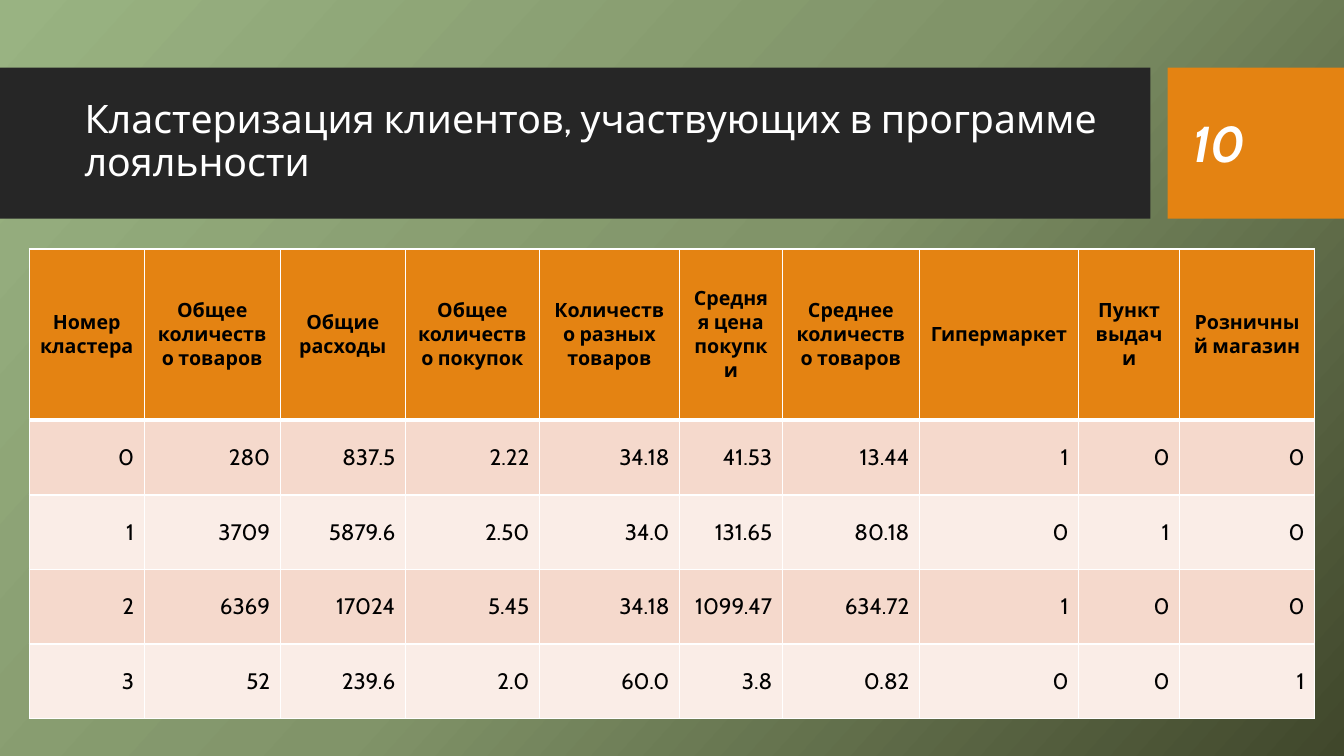
from copy import deepcopy

from lxml import etree
from pptx import Presentation
from pptx.dml.color import RGBColor
from pptx.enum.shapes import MSO_SHAPE
from pptx.enum.text import MSO_ANCHOR, PP_ALIGN
from pptx.oxml.ns import qn
from pptx.util import Inches, Pt

RECTANGLE = MSO_SHAPE.RECTANGLE
MIDDLE = MSO_ANCHOR.MIDDLE
CENTER, RIGHT = PP_ALIGN.CENTER, PP_ALIGN.RIGHT

FONT = "Cabin"
WHITE = RGBColor(0xFF, 0xFF, 0xFF)
BLACK = RGBColor(0x00, 0x00, 0x00)
CHARCOAL = RGBColor(0x26, 0x26, 0x26)
ORANGE = RGBColor(0xE4, 0x83, 0x12)
DARK_BAND = RGBColor(0xF5, 0xD9, 0xCC)
LIGHT_BAND = RGBColor(0xFA, 0xED, 0xE7)
BACKGROUND_STOPS = [
    (0, RGBColor(0x99, 0xB3, 0x82)),
    (0.5, RGBColor(0x81, 0x94, 0x69)),
    (1, RGBColor(0x40, 0x47, 0x2B)),
]

COLUMN_WIDTHS = [1.14, 1.35, 1.24, 1.33, 1.39, 1.02, 1.36, 1.58, 1, 1.34]
HEADER_HEIGHT, ROW_HEIGHT = 1.7, 0.74
CLUSTERS = [
    ["Номер кластера", "Общее количество товаров", "Общие расходы",
     "Общее количество покупок", "Количество разных товаров",
     "Средняя цена покупки", "Среднее количество товаров",
     "Гипермаркет", "Пункт выдачи", "Розничный магазин"],
    ["0", "280", "837.5", "2.22", "34.18", "41.53", "13.44", "1", "0", "0"],
    ["1", "3709", "5879.6", "2.50", "34.0", "131.65", "80.18", "0", "1", "0"],
    ["2", "6369", "17024", "5.45", "34.18", "1099.47", "634.72", "1", "0", "0"],
    ["3", "52", "239.6", "2.0", "60.0", "3.8", "0.82", "0", "0", "1"],
]


def write_text(frame, text, size, color, bold=False, italic=False):
    frame.text = text
    paragraph = frame.paragraphs[0]
    font = paragraph.runs[0].font
    font.name, font.size, font.color.rgb = FONT, Pt(size), color
    font.bold, font.italic = bold, italic
    return paragraph


def add_borders(cell, widths):
    """Draw white cell borders; widths maps each side to its points."""
    properties = cell._tc.get_or_add_tcPr()
    for side, points in widths.items():
        line = etree.SubElement(properties, qn(f"a:ln{side}"), w=str(Pt(points)))
        fill = etree.SubElement(line, qn("a:solidFill"))
        etree.SubElement(fill, qn("a:srgbClr"), val=str(WHITE))


deck = Presentation()
deck.slide_width, deck.slide_height = Inches(13.33), Inches(7.5)
slide = deck.slides.add_slide(deck.slide_layouts[6])

# Background
background = slide.background.fill
background.gradient()
background.gradient_angle = 360 - 42
stop_list = slide.element.find(".//" + qn("a:gsLst"))
stop_list.append(deepcopy(stop_list[0]))
for stop, (position, color) in zip(background.gradient_stops, BACKGROUND_STOPS):
    stop.position = position
    stop.color.rgb = color

# Title band and page number block
for left, width, color in [(0, 11.41, CHARCOAL), (11.58, 1.75, ORANGE)]:
    band = slide.shapes.add_shape(
        RECTANGLE, Inches(left), Inches(0.67), Inches(width), Inches(1.5))
    band.shadow.inherit = False
    band.fill.solid()
    band.fill.fore_color.rgb = color
    band.line.fill.background()

title_box = slide.shapes.add_textbox(
    Inches(0.74), Inches(0.82), Inches(10.51), Inches(1.18))
number_box = slide.shapes.add_textbox(
    Inches(11.73), Inches(0.82), Inches(1.26), Inches(1.19))
for box in (title_box, number_box):
    box.text_frame.word_wrap = True
    box.text_frame.vertical_anchor = MIDDLE

title = write_text(
    title_box.text_frame,
    "Кластеризация клиентов, участвующих в программе лояльности", 28, WHITE)
title.line_spacing = 0.9
number = write_text(number_box.text_frame, "10", 36, WHITE, bold=True, italic=True)
number.space_after = Pt(6)

# Cluster table
table_height = HEADER_HEIGHT + ROW_HEIGHT * (len(CLUSTERS) - 1)
table = slide.shapes.add_table(
    len(CLUSTERS), len(COLUMN_WIDTHS), Inches(0.29), Inches(2.47),
    Inches(sum(COLUMN_WIDTHS)), Inches(table_height)).table
for column, width in zip(table.columns, COLUMN_WIDTHS):
    column.width = Inches(width)

for row_index, values in enumerate(CLUSTERS):
    is_header = row_index == 0
    table.rows[row_index].height = Inches(HEADER_HEIGHT if is_header else ROW_HEIGHT)
    if is_header:
        row_color = ORANGE
    else:
        row_color = DARK_BAND if row_index % 2 else LIGHT_BAND
    borders = {"L": 1, "R": 1, "T": 3 if row_index == 1 else 1, "B": 3 if is_header else 1}
    for column_index, value in enumerate(values):
        cell = table.cell(row_index, column_index)
        cell.vertical_anchor = MIDDLE
        add_borders(cell, borders)
        cell.fill.solid()
        cell.fill.fore_color.rgb = row_color
        paragraph = write_text(
            cell.text_frame, value, 14 if is_header else 16, BLACK, bold=is_header)
        paragraph.alignment = CENTER if is_header else RIGHT

deck.save("out.pptx")
